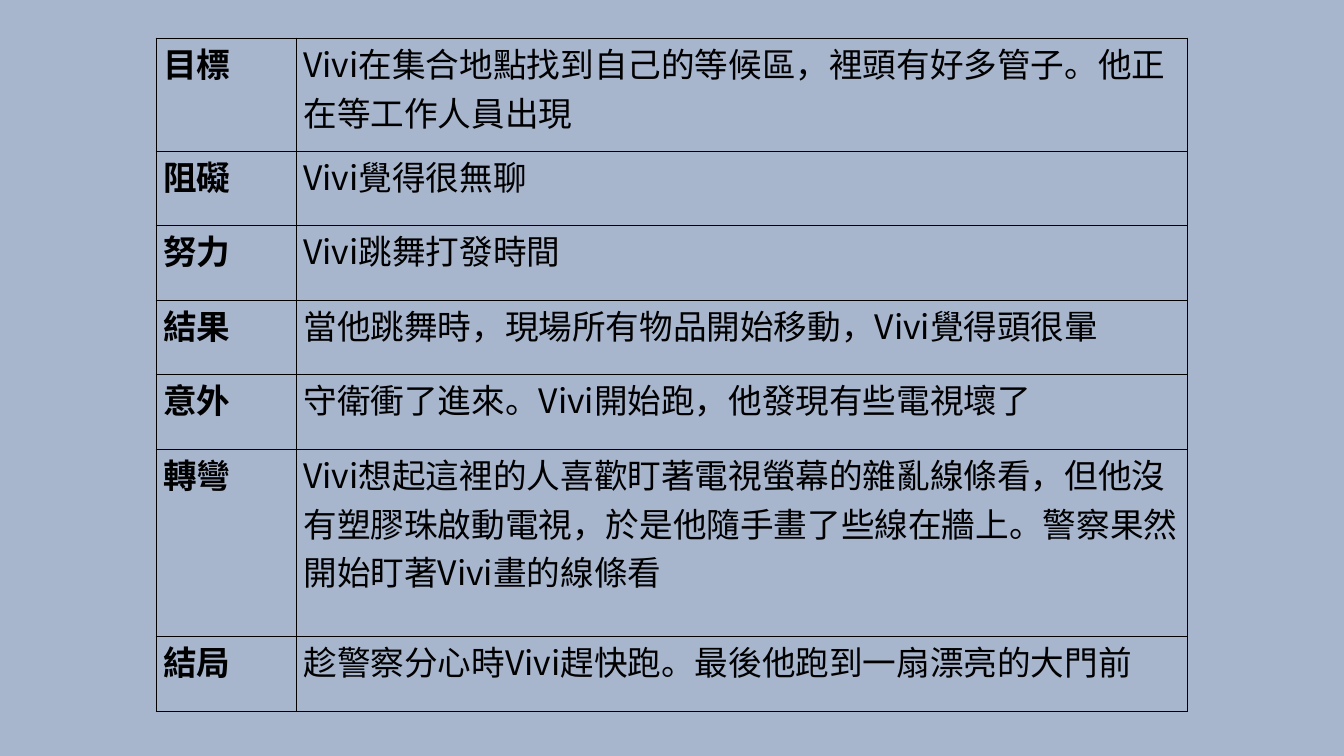
from dataclasses import dataclass

from lxml import etree
from pptx import Presentation
from pptx.dml.color import RGBColor
from pptx.enum.text import MSO_ANCHOR
from pptx.oxml.ns import qn
from pptx.slide import Slide
from pptx.table import _Cell
from pptx.util import Inches, Pt

TOP = MSO_ANCHOR.TOP


@dataclass(frozen=True)
class Theme:
    background: str = "A7B5CD"
    ink: str = "000000"
    font: str = "Noto Sans CJK SC"
    text_size: float = 24
    border_width: float = 1


@dataclass(frozen=True)
class StoryStep:
    label: str
    story: str
    height: float = 0.74


THEME = Theme()
TABLE_LEFT, TABLE_TOP = 1.55, 0.38
COLUMN_WIDTHS = (1.39, 8.84)
CELL_MARGIN = 0.07
STEPS = (
    StoryStep("目標", "Vivi在集合地點找到自己的等候區，裡頭有好多管子。他正在等工作人員出現", 1.12),
    StoryStep("阻礙", "Vivi覺得很無聊"),
    StoryStep("努力", "Vivi跳舞打發時間"),
    StoryStep("結果", "當他跳舞時，現場所有物品開始移動，Vivi覺得頭很暈"),
    StoryStep("意外", "守衛衝了進來。Vivi開始跑，他發現有些電視壞了"),
    StoryStep(
        "轉彎",
        "Vivi想起這裡的人喜歡盯著電視螢幕的雜亂線條看，但他沒有塑膠珠啟動電視，"
        "於是他隨手畫了些線在牆上。警察果然開始盯著Vivi畫的線條看",
        1.86,
    ),
    StoryStep("結局", "趁警察分心時Vivi趕快跑。最後他跑到一扇漂亮的大門前"),
)


def add_borders(cell: _Cell) -> None:
    """Draw a solid line on all four sides; lines must precede the cell fill."""
    properties = cell._tc.get_or_add_tcPr()
    for position, side in enumerate(("a:lnL", "a:lnR", "a:lnT", "a:lnB")):
        line = etree.Element(qn(side), w=str(Pt(THEME.border_width)))
        fill = etree.SubElement(line, qn("a:solidFill"))
        etree.SubElement(fill, qn("a:srgbClr"), val=THEME.ink)
        properties.insert(position, line)


def fill_cell(cell: _Cell, text: str, bold: bool) -> None:
    cell.fill.background()
    cell.margin_left = cell.margin_right = Inches(CELL_MARGIN)
    cell.margin_top = cell.margin_bottom = 0
    cell.vertical_anchor = TOP
    cell.text_frame.text = text
    for run in cell.text_frame.paragraphs[0].runs:
        font = run.font
        font.size = Pt(THEME.text_size)
        font.bold = bold
        font.color.rgb = RGBColor.from_string(THEME.ink)
        font.name = THEME.font
        east_asian = etree.Element(qn("a:ea"), typeface=THEME.font)
        run._r.get_or_add_rPr().find(qn("a:latin")).addnext(east_asian)
    add_borders(cell)


def add_story_table(slide: Slide) -> None:
    table = slide.shapes.add_table(
        len(STEPS),
        len(COLUMN_WIDTHS),
        Inches(TABLE_LEFT),
        Inches(TABLE_TOP),
        Inches(sum(COLUMN_WIDTHS)),
        Inches(sum(step.height for step in STEPS)),
    ).table
    table.first_row = table.horz_banding = False
    for column, width in zip(table.columns, COLUMN_WIDTHS):
        column.width = Inches(width)
    for row, step in zip(table.rows, STEPS):
        row.height = Inches(step.height)
        label_cell, story_cell = row.cells
        fill_cell(label_cell, step.label, bold=True)
        fill_cell(story_cell, step.story, bold=False)


def main() -> None:
    presentation = Presentation()
    presentation.slide_width = Inches(13.33)
    presentation.slide_height = Inches(7.5)
    slide = presentation.slides.add_slide(presentation.slide_layouts[6])
    background = slide.background.fill
    background.solid()
    background.fore_color.rgb = RGBColor.from_string(THEME.background)
    add_story_table(slide)
    presentation.save("out.pptx")


if __name__ == "__main__":
    main()
